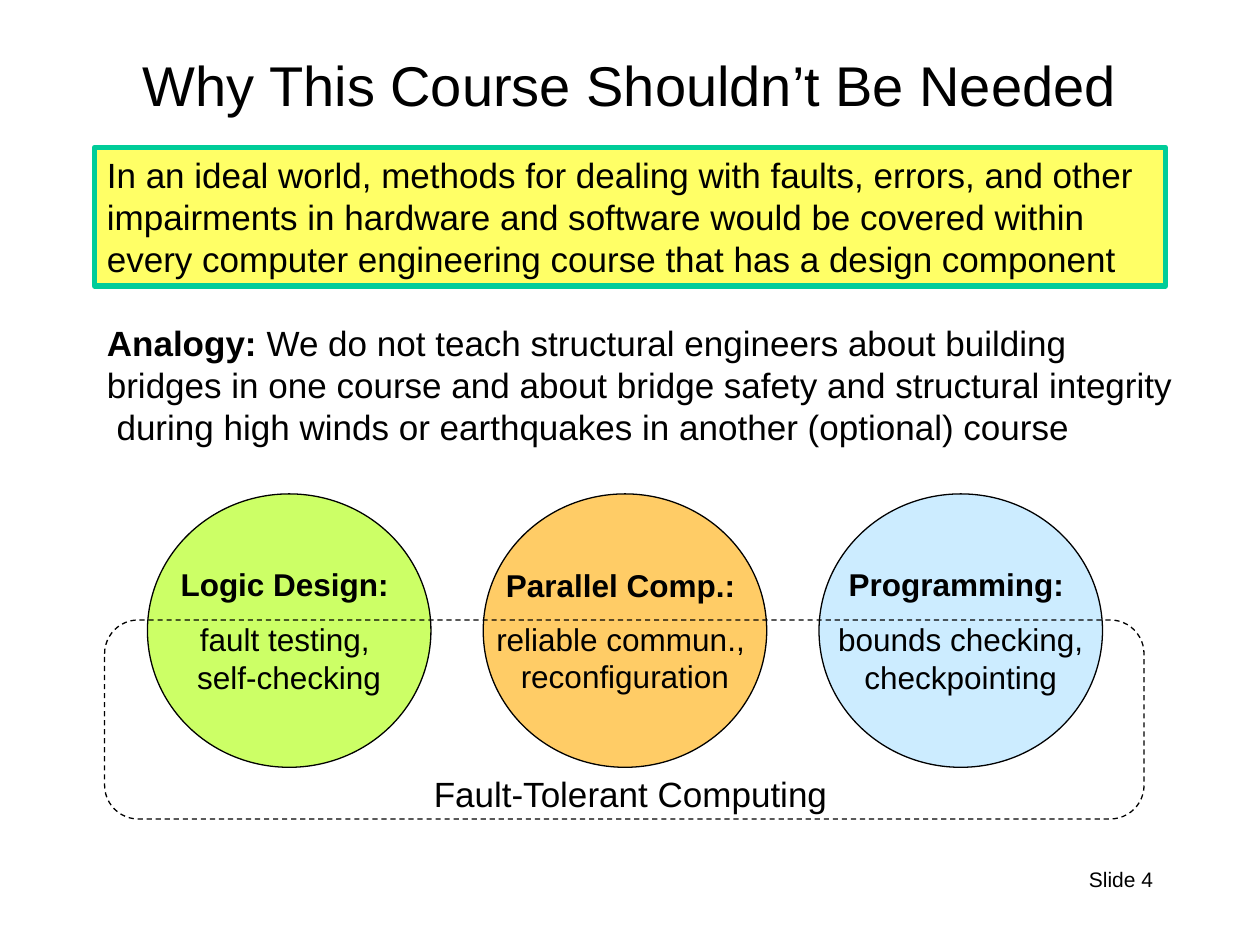
from pptx import Presentation, util as u
from pptx.dml import color
from pptx.enum import dml, shapes, text

IN = u.Inches
MID = text.PP_ALIGN.CENTER
LEFT = text.PP_ALIGN.LEFT
RIGHT = text.PP_ALIGN.RIGHT


def rgb(code):
    return color.RGBColor.from_string(code)


def assign(item, values):
    for key, value in values.items():
        setattr(item, key, value)


class Deck:
    font = {"name": "Arial", "bold": False}
    ink = "000000"
    inset = {"margin_left": IN(0.1), "margin_right": IN(0.1),
             "margin_top": IN(0.05), "margin_bottom": IN(0.05)}

    def __init__(self, wide, high):
        self.file = Presentation()
        assign(self.file, {"slide_width": IN(wide), "slide_height": IN(high)})
        self.slide = self.file.slides.add_slide(self.file.slide_layouts[5])

    def words(self, shape, paras, size, align=LEFT, gaps=(), **frame):
        body = shape.text_frame
        assign(body, {**self.inset, "word_wrap": True,
                      "auto_size": text.MSO_AUTO_SIZE.NONE,
                      "vertical_anchor": text.MSO_ANCHOR.TOP, **frame})
        for i, runs in enumerate(paras):
            para = body.add_paragraph() if i else body.paragraphs[0]
            para.alignment = align
            if i < len(gaps) and gaps[i]:
                para.space_before = u.Pt(gaps[i])
            for part, bold in runs:
                run = para.add_run()
                run.text = part
                assign(run.font, {**self.font, "size": u.Pt(size), "bold": bold})
                run.font.color.rgb = rgb(self.ink)

    def title(self, box, part, size):
        shape = self.slide.shapes.title
        assign(shape, dict(zip(("left", "top", "width", "height"), map(IN, box))))
        self.words(shape, [[(part, False)]], size, MID,
                   vertical_anchor=text.MSO_ANCHOR.MIDDLE)

    def label(self, box, runs, size, align=LEFT, **frame):
        shape = self.slide.shapes.add_textbox(*map(IN, box))
        self.words(shape, [runs], size, align, **frame)

    def shape(self, kind, box, fill=None, line="000000", width=0.75, dash=None):
        shape = self.slide.shapes.add_shape(kind, *map(IN, box))
        shape.shadow.inherit = False
        if fill:
            shape.fill.solid()
            shape.fill.fore_color.rgb = rgb(fill)
        else:
            shape.fill.background()
        shape.line.color.rgb = rgb(line)
        assign(shape.line, {"width": u.Pt(width), "dash_style": dash})
        return shape


def main():
    deck = Deck(10, 7.5)
    kinds = shapes.MSO_SHAPE

    deck.title((0.75, 0.25, 8.5, 0.83), "Why This Course Shouldn’t Be Needed", 32)
    deck.label((7.17, 6.83, 2.08, 0.5), [("Slide 4", False)], 12, RIGHT)

    ideal = deck.shape(kinds.RECTANGLE, (0.75, 1.17, 8.5, 1.1), "FFFF66", "00CC99", 3)
    deck.words(ideal, [[(
        "In an ideal world, methods for dealing with faults, errors, and other "
        "impairments in hardware and software would be covered within every "
        "computer engineering course that has a design component", False)]], 20)

    deck.label((0.75, 2.5, 8.67, 1.1), [("Analogy:", True), (
        " We do not teach structural engineers about building bridges in one "
        "course and about bridge safety and structural integrity  during high "
        "winds or earthquakes in another (optional) course", False)], 20)

    fields = [
        ("CCFF66", "Logic Design: ", "fault testing, ", "self-checking", 10),
        ("FFCC66", "Parallel Comp.: ", "reliable commun., ", "reconfiguration", 9),
        ("CCECFF", "Programming: ", "bounds checking,", "checkpointing", 10),
    ]
    for i, (fill, name, first, second, gap) in enumerate(fields):
        disc = deck.shape(kinds.OVAL, (1.17 + 2.665 * i, 3.92, 2.25, 2.17), fill)
        deck.words(disc, [[(name, True)], [(first, False)], [(second, False)]],
                   18, MID, (0, gap), word_wrap=False,
                   vertical_anchor=text.MSO_ANCHOR.MIDDLE)

    frame = deck.shape(kinds.ROUNDED_RECTANGLE, (0.83, 4.92, 8.25, 1.58),
                       dash=dml.MSO_LINE.DASH)
    frame.adjustments[0] = 0.17
    deck.label((3.33, 6.08, 3.35, 0.44), [("Fault-Tolerant Computing", False)],
               20, MID, word_wrap=False)

    deck.file.save("out.pptx")


if __name__ == "__main__":
    main()
